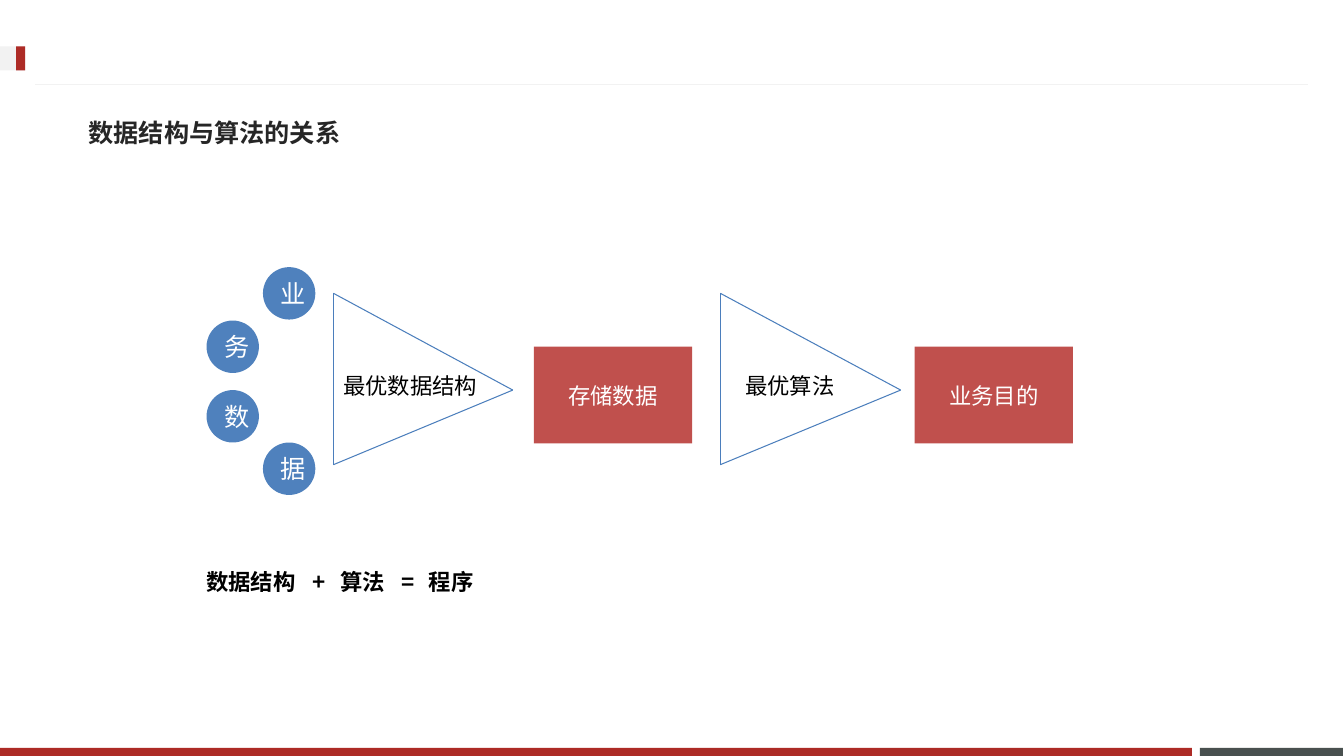
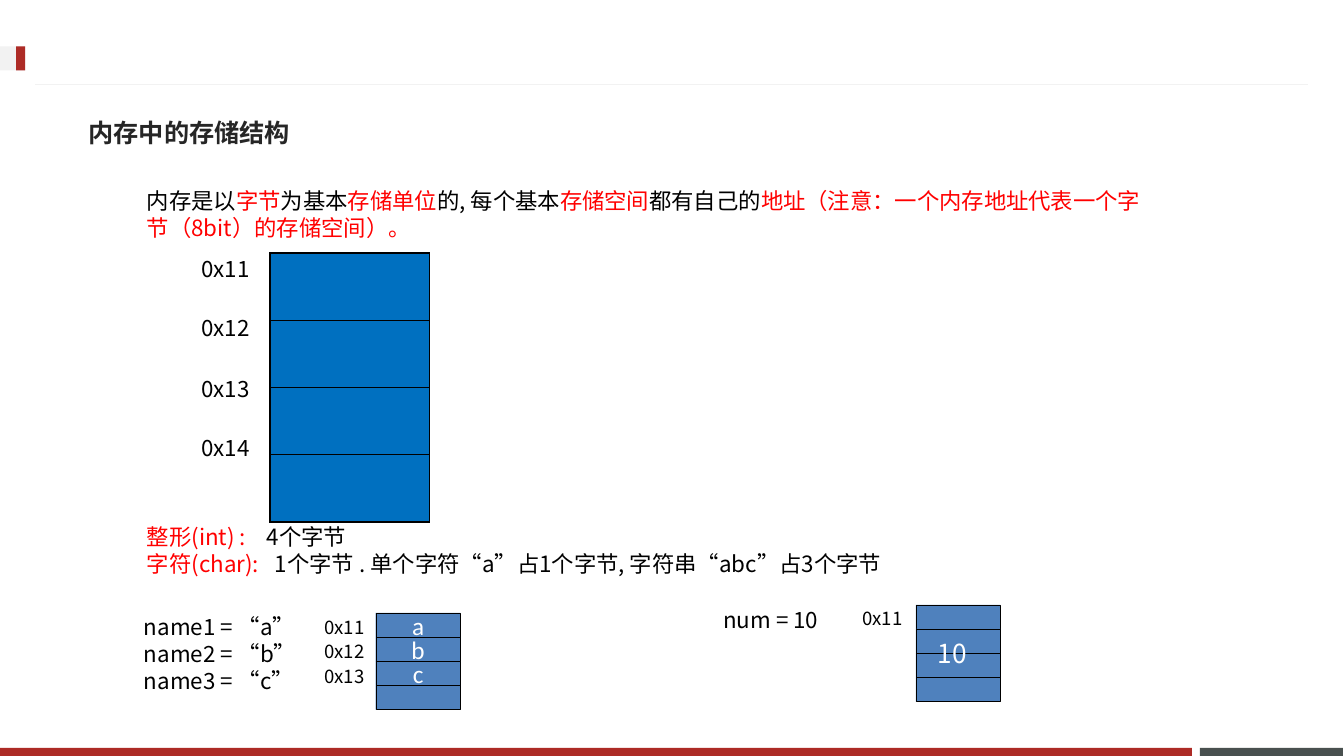
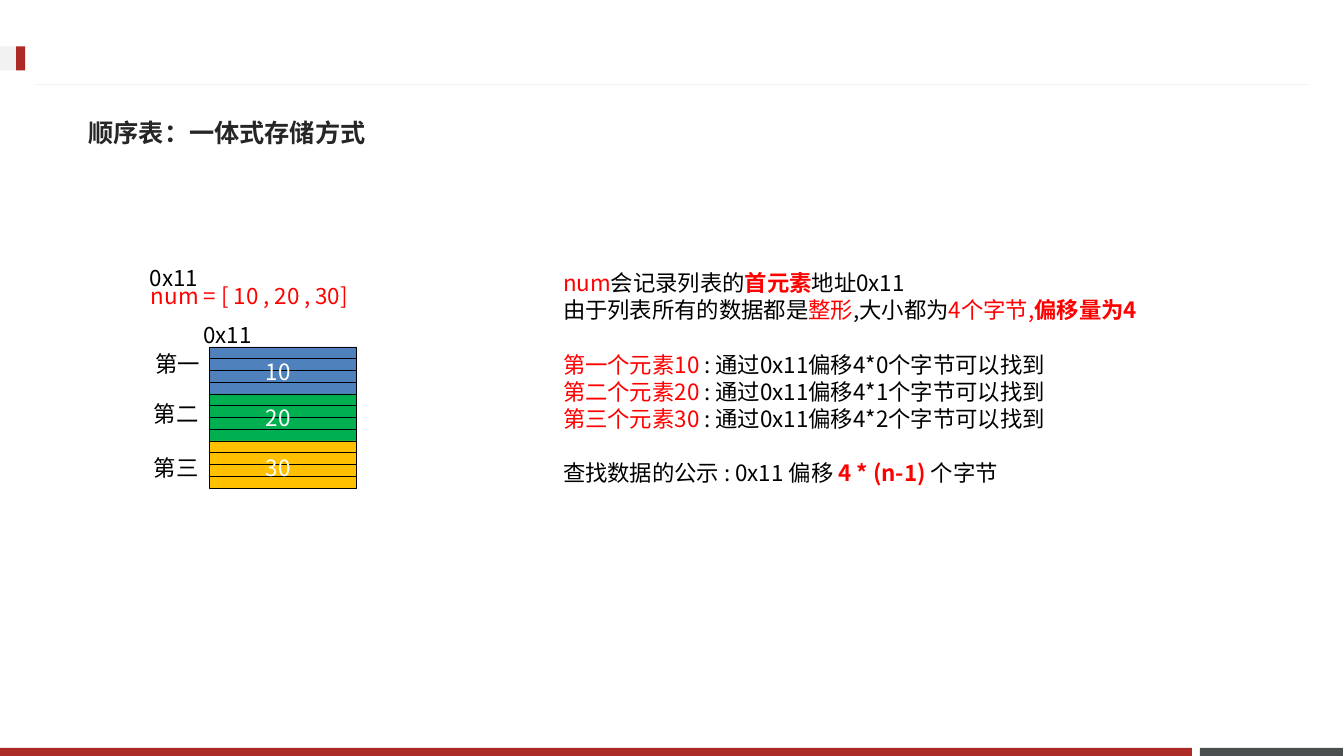
import dataclasses
import lxml.etree
import pptx
import pptx.dml.color
import pptx.enum.shapes
import pptx.enum.text
import pptx.oxml.ns
import pptx.util


@dataclasses.dataclass(frozen=True)
class Theme:
    brand: str = "AD2B26"
    slate: str = "49504F"
    pale: str = "F2F2F2"
    head: str = "262626"
    ink: str = "000000"
    white: str = "FFFFFF"
    red: str = "FF0000"
    blue: str = "4F81BD"
    edge: str = "4B7EBC"
    brick: str = "C0504D"
    deep: str = "0070C0"
    green: str = "00B050"
    gold: str = "FFC000"
    face: str = "Noto Sans CJK SC"
    title: str = "Noto Sans CJK JP"
    latin: str = "Calibri"
    big: float = 18
    num: float = 18.7
    body: float = 16
    small: float = 13.3
    lead: float = 1.21


look = Theme()
Inches = pptx.util.Inches
Pt = pptx.util.Pt
qn = pptx.oxml.ns.qn
rgb = pptx.dml.color.RGBColor.from_string
kinds = pptx.enum.shapes.MSO_SHAPE
align = pptx.enum.text.PP_ALIGN
anchor = pptx.enum.text.MSO_ANCHOR


def put(slide, at, paras=(), fill=None, line=None, kind=kinds.RECTANGLE,
        size=look.body, ink=look.ink, face=look.face, bold=False, mid=False, tabs=()):
    place = [Inches(n) for n in at]
    if fill:
        shape = slide.shapes.add_shape(kind, *place)
        shape.shadow.inherit = False
        shape.fill.solid()
        shape.fill.fore_color.rgb = rgb(fill)
        if line:
            shape.line.color.rgb = rgb(line)
            shape.line.width = Pt(0.25)
        else:
            shape.line.fill.background()
    else:
        shape = slide.shapes.add_textbox(*place)
    frame = shape.text_frame
    frame.word_wrap = True
    frame.vertical_anchor = anchor.MIDDLE if fill or mid else anchor.TOP
    para, gap = None, False
    for runs in paras:
        if not runs:
            gap = True
            continue
        para = frame.add_paragraph() if para else frame.paragraphs[0]
        para.alignment = align.CENTER if fill else align.LEFT
        if tabs:
            stops = lxml.etree.SubElement(para._p.get_or_add_pPr(), qn("a:tabLst"))
            for stop in tabs:
                lxml.etree.SubElement(stops, qn("a:tab"), pos=str(Inches(stop)), algn="l")
        if not fill:
            para.line_spacing = Pt(round(size * look.lead, 1))
        if gap:
            para.space_before = Pt(round(size * look.lead, 1))
            gap = False
        for part in [(runs,)] if isinstance(runs, str) else runs:
            words, tint, strong = (*part, ink, bold)[:3] if len(part) == 1 else (*part, bold)[:3]
            run = para.add_run()
            run.text = words
            run.font.size = Pt(size)
            run.font.bold = strong
            run.font.color.rgb = rgb(tint)
            run.font.name = face
            east = look.face if face == look.latin else face
            lxml.etree.SubElement(run._r.get_or_add_rPr(), qn("a:ea"), typeface=east)
    return shape


def link(slide, start, end, tint):
    ends = [Inches(n) for n in (*start, *end)]
    line = slide.shapes.add_connector(pptx.enum.shapes.MSO_CONNECTOR.STRAIGHT, *ends)
    line.line.color.rgb = rgb(tint)
    line.line.width = Pt(0.75)
    lxml.etree.SubElement(line.element.spPr, qn("a:effectLst"))


deck = pptx.Presentation()
deck.slide_width = Inches(13.34)
deck.slide_height = Inches(7.5)
blank = deck.slide_layouts[6]
for holder in list(blank.placeholders):
    holder.element.getparent().remove(holder.element)

titles = ["数据结构与算法的关系", "内存中的存储结构", "顺序表：一体式存储方式"]
slides = [deck.slides.add_slide(blank) for title in titles]
flow, memo, array = slides

put(flow, (11.91, 7.42, 1.42, 0.08), fill=look.slate)
put(flow, (0, 7.42, 11.83, 0.08), fill=look.brand)
link(flow, (12.98, 0.84), (0.35, 0.84), look.pale)
put(flow, (0, 0.46, 0.25, 0.24), fill=look.pale)
put(flow, (0.16, 0.46, 0.09, 0.24), fill=look.brand)
for shape in list(flow.shapes):
    blank.shapes.element.append(shape.element)

for slide, title in zip(slides, titles):
    put(slide, (0.78, 1.03, 11.7, 0.57), [title], size=look.big,
        ink=look.head, face=look.title, bold=True, mid=True)

for word, left, top in [("业", 2.61, 2.65), ("务", 2.05, 3.18),
                        ("数", 2.05, 3.87), ("据", 2.61, 4.39)]:
    put(flow, (left, top, 0.52, 0.52), [word], fill=look.blue, kind=kinds.OVAL,
        size=look.big, ink=look.white, face=look.latin)
for left, tip, start, wide, step, next_left, goal in [
        (3.31, 5.09, 3.31, 1.55, "最优数据结构", 5.3, "存储数据"),
        (7.15, 8.94, 7.3, 1.1, "最优算法", 9.08, "业务目的")]:
    ends = [(left, 2.91), (tip, 3.87), (left, 4.61)]
    for i in range(3):
        link(flow, ends[i], ends[(i + 1) % 3], look.edge)
    put(flow, (start, 3.64, wide, 0.37), [step])
    put(flow, (next_left, 3.44, 1.57, 0.96), [goal], fill=look.brick,
        ink=look.white, face=look.latin)
put(flow, (1.95, 5.58, 3, 0.37), ["数据结构\t+\t算法\t=\t程序"], bold=True,
    tabs=(1.05, 1.33, 1.94, 2.21))

put(memo, (1.36, 1.8, 10.13, 0.64), [[
    ("内存是以",), ("字节", look.red), ("为基本",), ("存储单位", look.red),
    ("的, 每个基本",), ("存储空间", look.red), ("都有自己的",),
    ("地址（注意：一个内存地址代表一个字节（8bit）的存储空间）。", look.red)]])
for word, top in [("0x11", 2.48), ("0x12", 3.06), ("0x13", 3.67), ("0x14", 4.26)]:
    put(memo, (1.9, top, 0.71, 0.37), [word])
grid = memo.shapes.add_table(4, 1, Inches(2.68), Inches(2.51), Inches(1.58), Inches(2.67)).table
for row in grid.rows:
    cell = row.cells[0]
    props = cell._tc.get_or_add_tcPr()
    for side in ("a:lnL", "a:lnR", "a:lnT", "a:lnB"):
        rule = lxml.etree.SubElement(props, qn(side), w=str(Pt(1)))
        paint = lxml.etree.SubElement(rule, qn("a:solidFill"))
        lxml.etree.SubElement(paint, qn("a:srgbClr"), val=look.ink)
    cell.fill.solid()
    cell.fill.fore_color.rgb = rgb(look.deep)
put(memo, (1.36, 5.14, 7.59, 0.91), [[("整形(int) :\t", look.red), ("4个字节",)]], tabs=(1.19,))
put(memo, (1.36, 5.41, 7.59, 0.64), [[
    ("字符(char):\t", look.red),
    ("1个字节 . 单个字符“a”占1个字节, 字符串“abc”占3个字节",)]], tabs=(1.27,))
for left, top, words in [(9.09, 6, [""] * 4), (3.73, 6.08, ["a", "b", "c", ""])]:
    for i, word in enumerate(words):
        put(memo, (left, top + 0.24 * i, 0.84, 0.24), [word], fill=look.blue,
            line=look.ink, size=look.big, ink=look.white, face=look.latin)
put(memo, (7.08, 5.96, 1.25, 0.37), ["num = 10"])
put(memo, (9.21, 6.27, 0.59, 0.42), ["10"], size=look.num, ink=look.white)
put(memo, (1.33, 6.03, 1.83, 1.18), ["name1 = “a”", "name2 = “b”", "name3 = “c”"])
for word, left, top in [("0x11", 3.12, 6.06), ("0x12", 3.12, 6.3),
                        ("0x13", 3.12, 6.55), ("0x11", 8.46, 5.97)]:
    put(memo, (left, top, 0.76, 0.33), [word], size=look.small)

tints = [look.blue, look.green, look.gold]
for i in range(12):
    put(array, (2.08, 3.44 + 1.4 / 12 * i, 1.46, 0.12), fill=tints[i // 4], line=look.ink)
put(array, (1.4, 2.75, 2.37, 0.37), ["num = [ 10 , 20 , 30]"], ink=look.red)
for word, top in [("10", 3.5), ("20", 3.96), ("30", 4.45)]:
    put(array, (2.54, top, 0.5, 0.37), [word], ink=look.white)
for word, left, top in [("0x11", 1.92, 3.13), ("0x11", 1.39, 2.57), ("第一", 1.44, 3.42),
                        ("第二", 1.43, 3.92), ("第三", 1.43, 4.45)]:
    put(array, (left, top, 0.71, 0.37), [word])
finds = [[(f"第{nth}个元素{10 * i + 10} ", look.red), (f": 通过0x11偏移4*{i}个字节可以找到",)]
         for i, nth in enumerate("一二三")]
put(array, (5.49, 2.62, 5.97, 2.52), [
    [("num", look.red), ("会记录列表的",), ("首元素", look.red, True), ("地址0x11",)],
    [("由于列表所有的数据都是",), ("整形", look.red), (",大小都为",),
     ("4个字节,", look.red), ("偏移量为4", look.red, True)],
    [],
    *finds,
    [],
    [("查找数据的公示 : 0x11 偏移 ",), ("4 * (n-1) ", look.red, True), ("个字节",)]])

deck.save("out.pptx")
